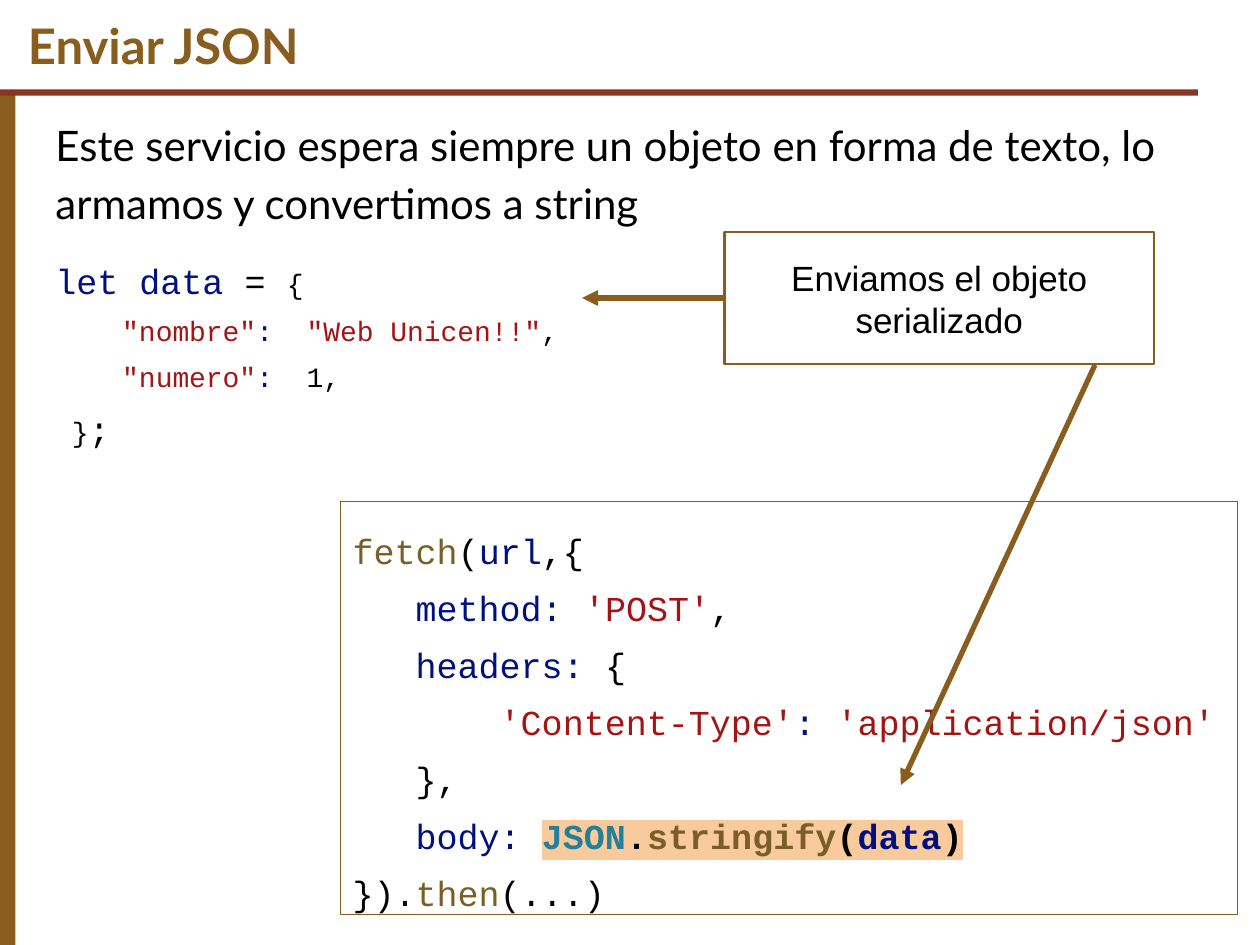
from lxml import etree
from pptx import Presentation
from pptx.dml.color import RGBColor
from pptx.enum import shapes, text
from pptx.oxml import ns
from pptx.util import Pt

THEME = {
    "gold": "895D1D", "rust": "873624", "text": "000000",
    "func": "795E26", "name": "001080", "string": "A31515",
    "class": "267F99", "mark": "F9CB9C",
    "title": 28, "body": 24, "code": 20, "small": 16,
    "head": "Lato", "note": "Arial", "mono": "Courier New",
}


def color(key):
    return RGBColor.from_string(THEME[key])


def write(frame, lines, face, spacing=1, align=text.PP_ALIGN.LEFT,
          anchor=text.MSO_ANCHOR.TOP):
    """Fill a frame; each line is a list of (words, colour, size, *flags)."""
    style = {"word_wrap": True, "auto_size": text.MSO_AUTO_SIZE.NONE,
             "vertical_anchor": anchor}
    style.update({"margin_" + side: Pt(7.2)
                  for side in ("left", "top", "right", "bottom")})
    for key, value in style.items():
        setattr(frame, key, value)
    for i, line in enumerate(lines):
        para = frame.add_paragraph() if i else frame.paragraphs[0]
        for key, value in {"line_spacing": spacing, "alignment": align,
                           "space_before": Pt(0)}.items():
            setattr(para, key, value)
        for words, hue, size, *flags in line:
            run = para.add_run()
            run.text = words
            run.font.color.rgb = color(hue)
            for key, value in {"name": THEME[face], "size": Pt(THEME[size]),
                               "bold": "bold" in flags}.items():
                setattr(run.font, key, value)
            if "mark" in flags:
                props = run.font.color.rgb and run._r.get_or_add_rPr()
                mark = etree.Element(ns.qn("a:highlight"))
                etree.SubElement(mark, ns.qn("a:srgbClr"), val=THEME["mark"])
                props.find(ns.qn("a:solidFill")).addnext(mark)


deck = Presentation()
deck.slide_width, deck.slide_height = Pt(720), Pt(540)
slide = deck.slides.add_slide(deck.slide_layouts[1])
items = slide.shapes

# Side bar and title rule
for hue, place in (("gold", (0, 52.5, 8.75, 487.5)),
                   ("rust", (0, 51.1, 684.5, 3.6))):
    bar = items.add_shape(shapes.MSO_SHAPE.RECTANGLE, *map(Pt, place))
    bar.shadow.inherit = False
    bar.fill.solid()
    bar.fill.fore_color.rgb = color(hue)
    bar.line.fill.background()

# Title and body
title, body = items.title, slide.placeholders[1]
for holder, place in ((title, (8.75, 0, 711.25, 51)),
                      (body, (24.5, 57, 671, 448.5))):
    for key, value in zip(("left", "top", "width", "height"), place):
        setattr(holder, key, Pt(value))
write(title.text_frame, [[("Enviar JSON", "gold", "title", "bold")]], "head",
      anchor=text.MSO_ANCHOR.MIDDLE)
write(body.text_frame, [[(
    "Este servicio espera siempre un objeto en forma de texto, "
    "lo armamos y convertimos a string", "text", "body")]], "head", 1.15)
props = body.text_frame.paragraphs[0]._p.get_or_add_pPr()
props.set("marL", "0")
props.set("indent", "0")
etree.SubElement(props, ns.qn("a:buNone"))

# Framed boxes
frames = []
for place, weight in (((414, 132.5, 245.5, 75.6), 1.5),
                      ((194.4, 286.5, 512.9, 236), 0.75)):
    box = items.add_shape(shapes.MSO_SHAPE.RECTANGLE, *map(Pt, place))
    box.shadow.inherit = False
    box.fill.background()
    box.line.color.rgb = color("gold")
    box.line.width = Pt(weight)
    frames.append(box)
note, fetch = frames
write(note.text_frame,
      [[("Enviamos el objeto serializado", "text", "code")]], "note",
      align=text.PP_ALIGN.CENTER, anchor=text.MSO_ANCHOR.MIDDLE)

# Arrows from the note to both pieces of code
arrows = []
for ends in ((414, 170.3, 332.6, 170.3), (625.7, 208.5, 514.8, 448.6)):
    arrow = items.add_connector(shapes.MSO_CONNECTOR.STRAIGHT, *map(Pt, ends))
    arrow.line.color.rgb = color("gold")
    arrow.line.width = Pt(3)
    etree.SubElement(arrow.line._get_or_add_ln(), ns.qn("a:tailEnd"),
                     type="triangle")
    etree.SubElement(arrow._element.spPr, ns.qn("a:effectLst"))
    arrows.append(arrow)
arrows[0].begin_connect(note, 1)

# Code
call = [
    [("fetch", "func"), ("(", "text"), ("url", "name"), (",{", "text")],
    [("   method: ", "name"), ("'POST'", "string"), (",", "text")],
    [("   headers:", "name"), (" {", "text")],
    [("       'Content-Type'", "string"), (": ", "name"),
     ("'application/json'", "string")],
    [("   },", "text")],
    [("   body: ", "name")] + [
        (word, hue, "bold", "mark") for word, hue in (
            ("JSON", "class"), (".", "text"), ("stringify", "func"),
            ("(", "text"), ("data", "name"), (")", "text"))],
    [("}).", "text"), ("then", "func"), ("(...)", "text")],
]
write(fetch.text_frame,
      [[(word, hue, "code", *flags) for word, hue, *flags in line]
       for line in call], "mono", 1.36)

data = items.add_textbox(Pt(24.5), Pt(132.5), Pt(419), Pt(221.8))
write(data.text_frame, [
    [("let data", "name", "code"), (" = ", "text", "code"),
     ("{", "text", "small")],
    [('    "nombre"', "string", "small"), (":  ", "name", "small"),
     ('"Web Unicen!!"', "string", "small"), (",", "text", "small")],
    [('    "numero"', "string", "small"), (":", "name", "small"),
     ("  1,", "text", "small")],
    [(" }", "text", "small"), (";", "text", "code")],
], "mono", 1.36)

deck.save("out.pptx")
